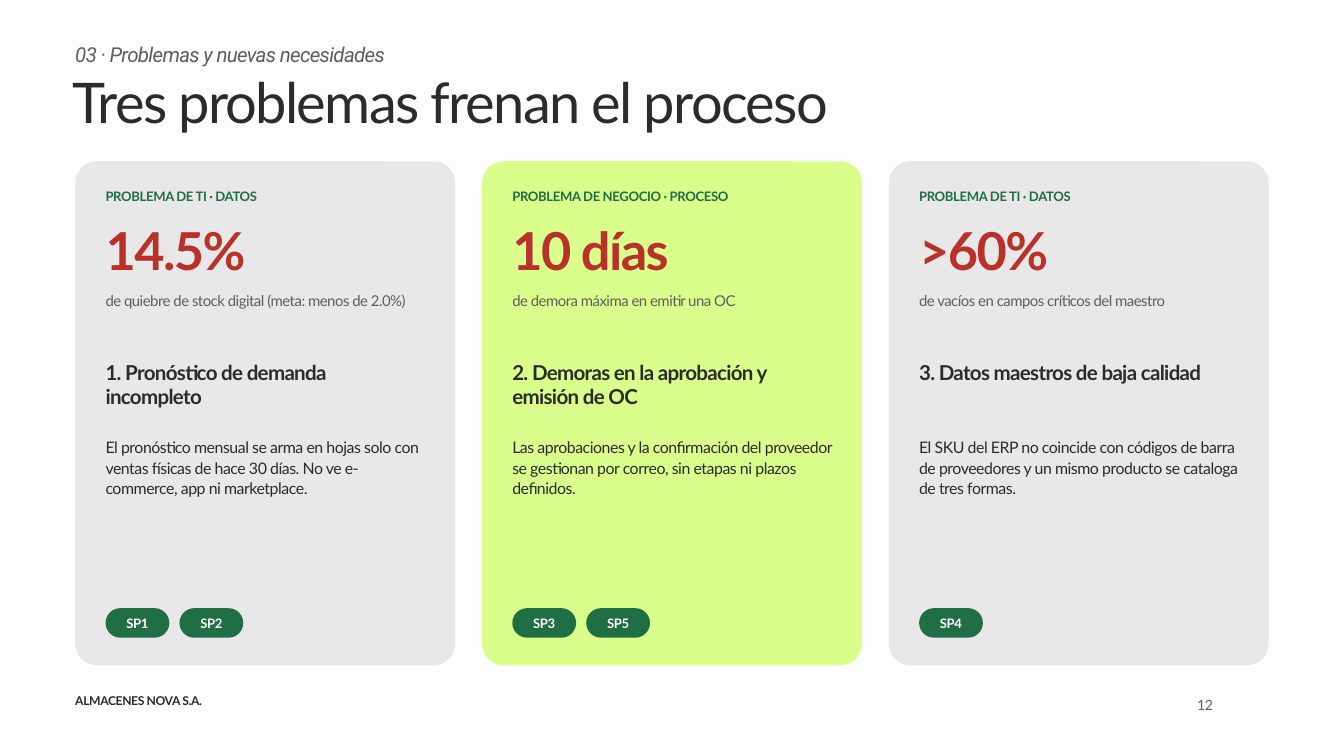
"""Build the slide on three problems that slow the process."""
from dataclasses import dataclass

from pptx import Presentation
from pptx.dml.color import RGBColor
from pptx.enum.shapes import MSO_SHAPE
from pptx.enum.text import MSO_ANCHOR, MSO_AUTO_SIZE, PP_ALIGN
from pptx.util import Pt


@dataclass(frozen=True)
class Style:
    """Type settings of one kind of text."""
    size: float
    leading: float
    color: str
    spacing: float
    bold: bool = False
    italic: bool = False
    font: str = "Lato"


class Theme:
    """Colours and type styles of the slide."""
    PAPER, INK, MUTED = "FDFDFD", "2B2B2B", "5E5E5E"
    GREEN, RED, WHITE = "1F6E44", "B8322A", "FFFFFF"
    GRAY, LIME = "E8E8E8", "DAFE8C"

    KICKER = Style(22, 26.4, MUTED, -0.7, italic=True, font="Roboto")
    TITLE = Style(60, 72, INK, -1.8)
    FOOTER = Style(13, 15.6, INK, -0.4, bold=True)
    NUMBER = Style(15, 18, MUTED, -0.4)
    TAG = Style(14, 16.8, GREEN, -0.4, bold=True)
    FIGURE = Style(56, 67.2, RED, -1.7, bold=True)
    CAPTION = Style(16, 19.2, MUTED, -0.5)
    HEADING = Style(22, 26.4, INK, -0.7, bold=True)
    BODY = Style(17, 22.4, INK, -0.5)
    PILL = Style(14, 16.8, WHITE, -0.4, bold=True)


MARGIN = 80.64
CARD_TOP, CARD_W, CARD_H, CARD_GAP = 172.8, 407.04, 540, 28.8
PADDING = 32.4
PILL_TOP, PILL_W, PILL_H, PILL_GAP = 651.6, 68.4, 31.68, 10.8

CARD_ROWS = [
    (201.6, 28.8, Theme.TAG),
    (233.28, 72.72, Theme.FIGURE),
    (312.48, 58.32, Theme.CAPTION),
    (385.2, 72, Theme.HEADING),
    (466.56, 167.04, Theme.BODY),
]

CARDS = [
    (Theme.GRAY,
     ["PROBLEMA DE TI · DATOS", "14.5%",
      "de quiebre de stock digital (meta: menos de 2.0%)",
      "1. Pronóstico de demanda incompleto",
      "El pronóstico mensual se arma en hojas solo con ventas físicas "
      "de hace 30 días. No ve e-commerce, app ni marketplace."],
     ["SP1", "SP2"]),
    (Theme.LIME,
     ["PROBLEMA DE NEGOCIO · PROCESO", "10 días",
      "de demora máxima en emitir una OC",
      "2. Demoras en la aprobación y emisión de OC",
      "Las aprobaciones y la confirmación del proveedor se gestionan "
      "por correo, sin etapas ni plazos definidos."],
     ["SP3", "SP5"]),
    (Theme.GRAY,
     ["PROBLEMA DE TI · DATOS", ">60%",
      "de vacíos en campos críticos del maestro",
      "3. Datos maestros de baja calidad",
      "El SKU del ERP no coincide con códigos de barra de proveedores "
      "y un mismo producto se cataloga de tres formas."],
     ["SP4"]),
]


def write(sp, text, style, align=PP_ALIGN.LEFT, anchor=MSO_ANCHOR.TOP, inset=0):
    """Set and format the single paragraph of a shape."""
    tf = sp.text_frame
    tf.text = text
    tf.word_wrap = True
    tf.auto_size = MSO_AUTO_SIZE.NONE
    tf.vertical_anchor = anchor
    tf.margin_left = tf.margin_right = tf.margin_top = tf.margin_bottom = Pt(inset)
    p = tf.paragraphs[0]
    p.alignment = align
    p.line_spacing = Pt(style.leading)
    p.space_before = Pt(0)
    r = p.runs[0]
    r.font.name = style.font
    r.font.size = Pt(style.size)
    r.font.bold = style.bold
    r.font.italic = style.italic
    r.font.color.rgb = RGBColor.from_string(style.color)
    r._r.get_or_add_rPr().set("spc", str(round(style.spacing * 100)))


def add_title(s, text):
    """Place the title placeholder."""
    sp = s.shapes.title
    sp.left, sp.top, sp.width, sp.height = Pt(77.76), Pt(72.72), Pt(1238.4), Pt(79.92)
    write(sp, text, Theme.TITLE)


def add_text(s, x, y, w, h, text, style, align=PP_ALIGN.LEFT):
    """Add a text box without insets."""
    sp = s.shapes.add_textbox(Pt(x), Pt(y), Pt(w), Pt(h))
    write(sp, text, style, align)


def add_rounded(s, x, y, w, h, radius, color):
    """Add a filled rectangle with the given corner radius."""
    sp = s.shapes.add_shape(MSO_SHAPE.ROUNDED_RECTANGLE, Pt(x), Pt(y), Pt(w), Pt(h))
    sp.adjustments[0] = radius / min(w, h)
    sp.shadow.inherit = False
    sp.fill.solid()
    sp.fill.fore_color.rgb = RGBColor.from_string(color)
    sp.line.fill.background()
    return sp


def add_pill(s, x, text):
    """Add a green pill with a centred code."""
    sp = add_rounded(s, x, PILL_TOP, PILL_W, PILL_H, PILL_H / 2, Theme.GREEN)
    write(sp, text, Theme.PILL, PP_ALIGN.CENTER, MSO_ANCHOR.MIDDLE, 4.32)


def add_card(s, x, color, texts, codes):
    """Add one problem card with its texts and pills."""
    add_rounded(s, x, CARD_TOP, CARD_W, CARD_H, 23.04, color)
    left = x + PADDING
    for (y, h, style), text in zip(CARD_ROWS, texts):
        add_text(s, left, y, CARD_W - 2 * PADDING + 1, h, text, style)
    for i, code in enumerate(codes):
        add_pill(s, left + i * (PILL_W + PILL_GAP), code)


def main():
    """Build and save the slide."""
    prs = Presentation()
    prs.slide_width, prs.slide_height = Pt(1440), Pt(810)
    s = prs.slides.add_slide(prs.slide_layouts[5])
    s.background.fill.solid()
    s.background.fill.fore_color.rgb = RGBColor.from_string(Theme.PAPER)

    add_text(s, MARGIN, 44.64, 1008, 32.4, "03 · Problemas y nuevas necesidades",
             Theme.KICKER)
    add_title(s, "Tres problemas frenan el proceso")
    for i, (color, texts, codes) in enumerate(CARDS):
        add_card(s, MARGIN + i * (CARD_W + CARD_GAP), color, texts, codes)
    add_text(s, MARGIN, 743.04, 288, 36, "ALMACENES NOVA S.A.", Theme.FOOTER)
    add_text(s, 1116, 745.92, 183.6, 28.8, "12", Theme.NUMBER, PP_ALIGN.RIGHT)
    prs.save("out.pptx")


if __name__ == "__main__":
    main()
